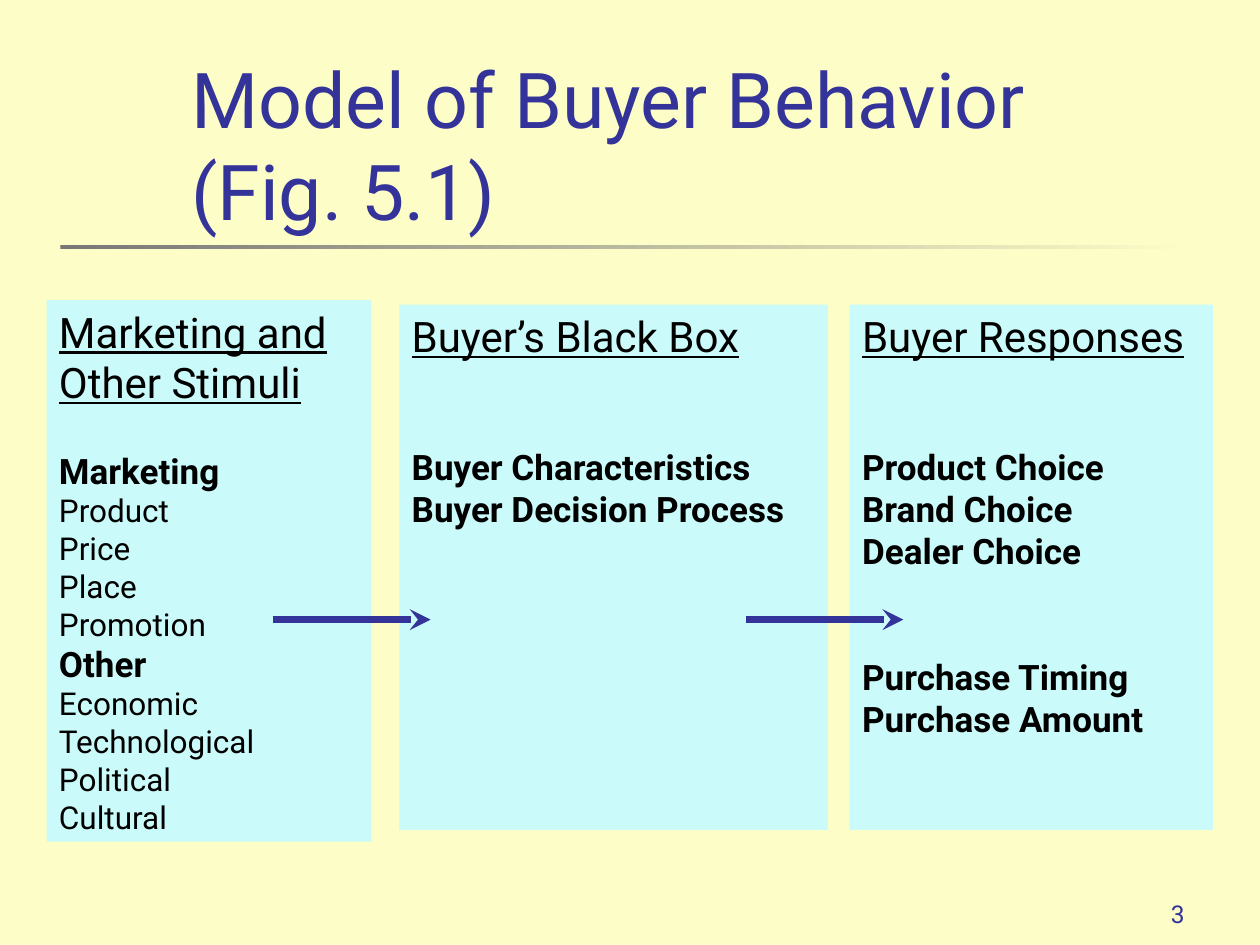
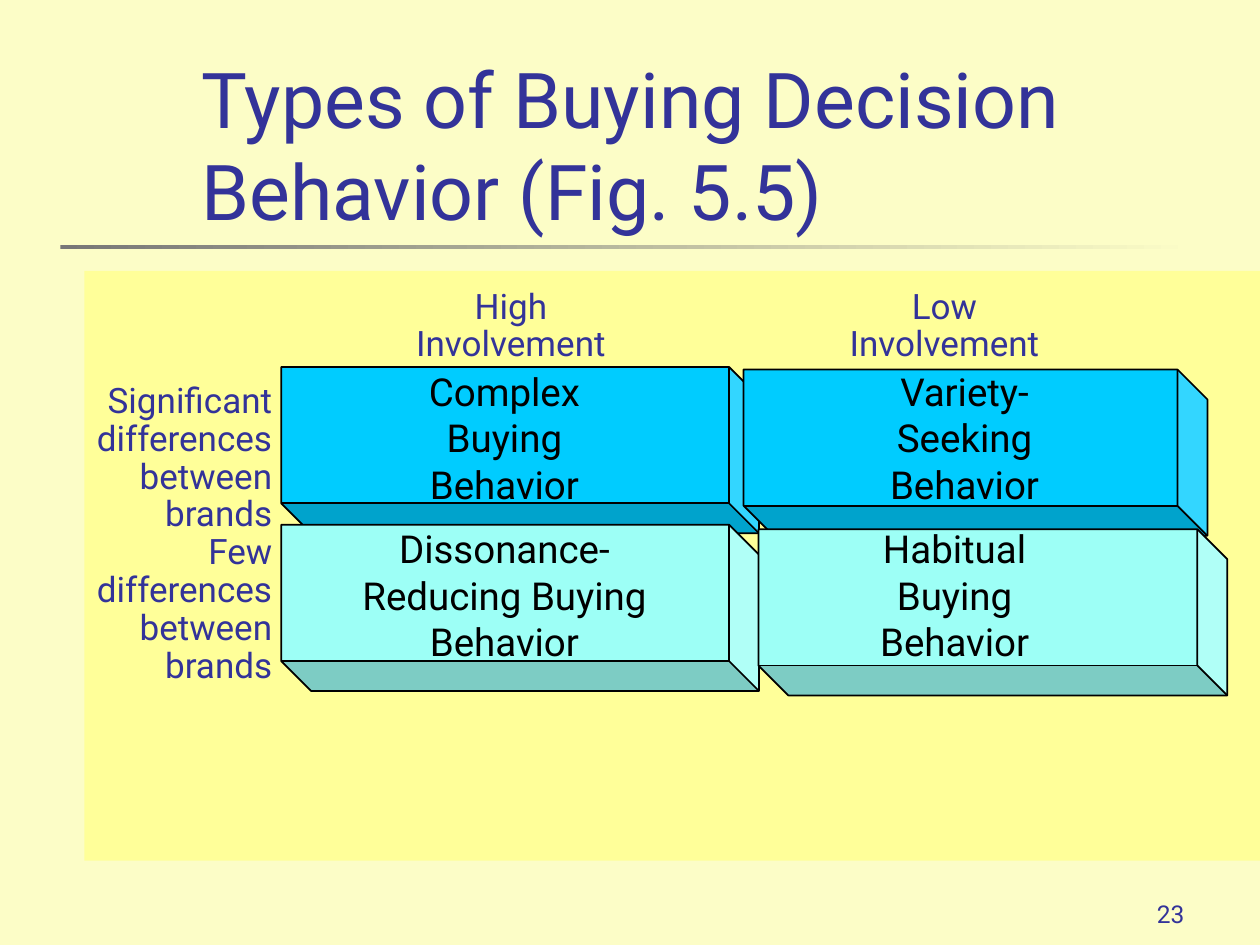
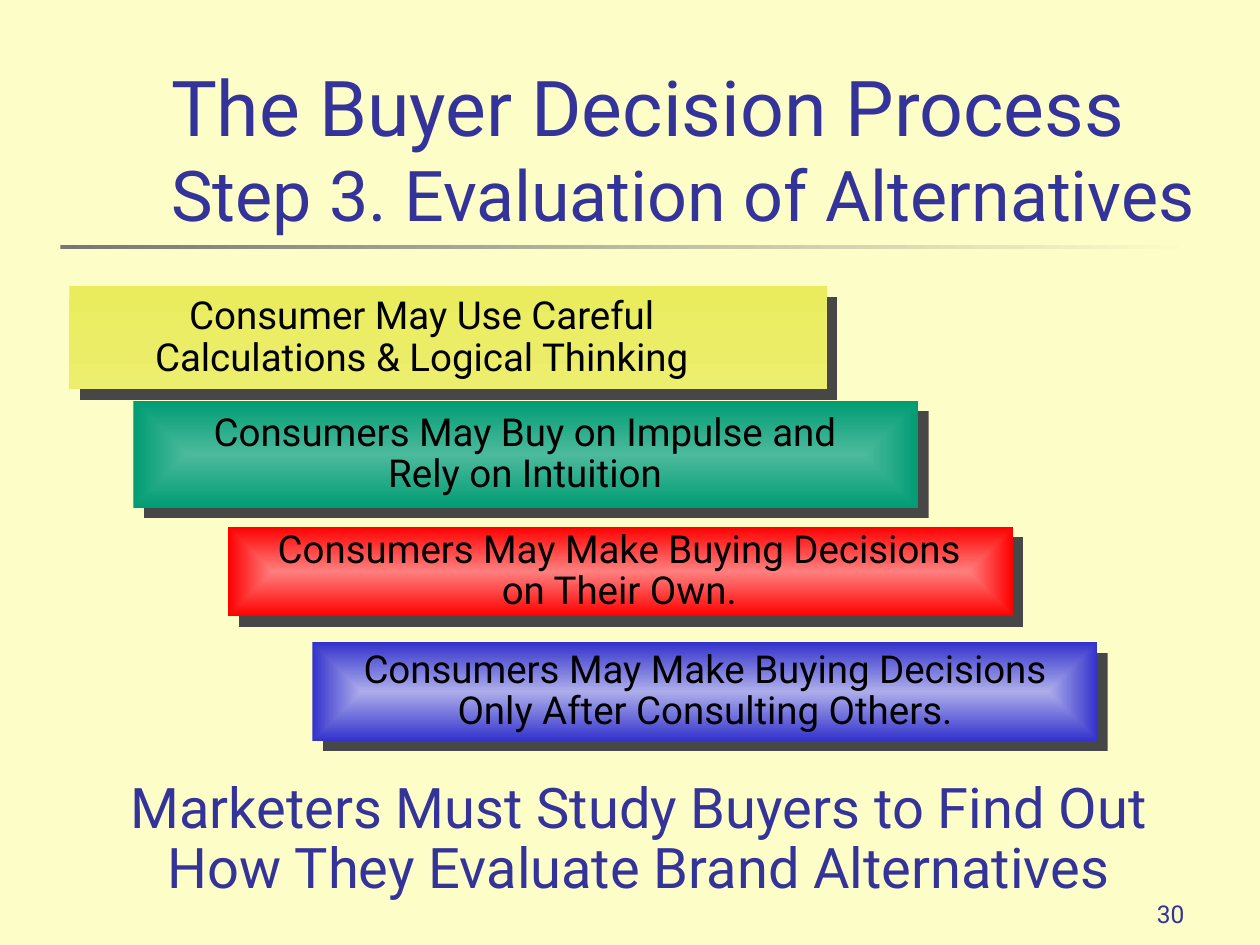
from lxml import etree
from pptx import Presentation
from pptx.dml.color import RGBColor
from pptx.enum.shapes import MSO_CONNECTOR, MSO_SHAPE
from pptx.enum.text import MSO_ANCHOR, PP_ALIGN
from pptx.oxml.ns import qn
from pptx.util import Cm, Pt

RECTANGLE, CUBE = MSO_SHAPE.RECTANGLE, MSO_SHAPE.CUBE
STRAIGHT = MSO_CONNECTOR.STRAIGHT
TOP, MIDDLE, BOTTOM = MSO_ANCHOR.TOP, MSO_ANCHOR.MIDDLE, MSO_ANCHOR.BOTTOM
LEFT, CENTER, RIGHT = PP_ALIGN.LEFT, PP_ALIGN.CENTER, PP_ALIGN.RIGHT

FONT = "Roboto"
CREAM = RGBColor(0xFC, 0xFD, 0xC7)
GRAY = RGBColor(0x77, 0x77, 0x77)
INDIGO = RGBColor(0x33, 0x33, 0x99)
BLACK = RGBColor(0, 0, 0)
PALE_CYAN = RGBColor(0xCA, 0xFA, 0xF9)
PANEL_YELLOW = RGBColor(0xFF, 0xFF, 0x99)
SKY = RGBColor(0x00, 0xCC, 0xFF)
MINT = RGBColor(0x9D, 0xFF, 0xF6)
LIME, LIGHT_LIME = RGBColor(0xEA, 0xEC, 0x5E), RGBColor(0xEC, 0xEE, 0x6E)
LIGHT_GREEN, GREEN = RGBColor(0x4C, 0xBA, 0x9D), RGBColor(0x00, 0x9C, 0x73)
LIGHT_RED, RED = RGBColor(0xFF, 0x7F, 0x7F), RGBColor(0xFF, 0x00, 0x00)
LIGHT_BLUE, BLUE = RGBColor(0xAD, 0xAD, 0xEB), RGBColor(0x33, 0x33, 0xCC)
SHADOW = "474747"

HEADING, STRONG, PLAIN = (24, False, True), (20, True, False), (18, False, False)
BLANK_LINE = 24

STIMULI_PANELS = [
    ((0.94, 6.05, 6.55, 10.92), [
        (HEADING, 0, ["Marketing and", "Other Stimuli"]),
        (STRONG, 1, ["Marketing"]),
        (PLAIN, 0, ["Product", "Price", "Place", "Promotion"]),
        (STRONG, 0, ["Other"]),
        (PLAIN, 0, ["Economic", "Technological", "Political", "Cultural"]),
    ]),
    ((8.05, 6.14, 8.64, 10.59), [
        (HEADING, 0, ["Buyer’s Black Box"]),
        (STRONG, 2, ["Buyer Characteristics", "Buyer Decision Process"]),
    ]),
    ((17.13, 6.14, 7.32, 10.59), [
        (HEADING, 0, ["Buyer Responses"]),
        (STRONG, 2, ["Product Choice", "Brand Choice", "Dealer Choice"]),
        (STRONG, 2, ["Purchase Timing", "Purchase Amount"]),
    ]),
]
ARROW_STARTS, ARROW_LENGTH, ARROW_Y = [5.5, 15.03], 3.18, 12.49

INVOLVEMENT = [(8, ["High", "Involvement"]), (16.74, ["Low", "Involvement"])]
DIFFERENCES = [
    (7.6, ["Significant", "differences", "between", "brands"]),
    (10.65, ["Few", "differences", "between", "brands"]),
]
CUBE_HEIGHT = 3.35
BEHAVIORS = [
    (SKY, (5.67, 7.4, 9.63), (5.79, 7.65, 8.76), ["Complex", "Buying", "Behavior"]),
    (SKY, (14.99, 7.45, 9.35), (15.19, 7.65, 8.51), ["Variety-", "Seeking", "Behavior"]),
    (MINT, (5.67, 10.58, 9.63), (5.79, 10.82, 8.76),
     ["Dissonance-", "Reducing Buying", "Behavior"]),
    (MINT, (15.29, 10.67, 9.45), (14.94, 10.82, 8.61), ["Habitual", "Buying", "Behavior"]),
]

EVALUATIONS = [
    (LIME, LIGHT_LIME, False, (1.4, 5.77, 15.27, 2.08), (1.1, 14.81),
     ["Consumer May Use Careful", "Calculations & Logical Thinking"]),
    (LIGHT_GREEN, GREEN, True, (2.69, 8.08, 15.82, 2.16), (2.9, 15.37),
     ["Consumers May Buy on Impulse and", "Rely on Intuition"]),
    (LIGHT_RED, RED, True, (4.6, 10.62, 15.82, 1.8), (4.8, 15.37),
     ["Consumers May Make Buying Decisions", "on Their Own."]),
    (LIGHT_BLUE, BLUE, True, (6.3, 12.95, 15.82, 1.98), (6.53, 15.37),
     ["Consumers May Make Buying Decisions", "Only After Consulting Others."]),
]
CONCLUSION = "Marketers Must Study Buyers to Find Out How They Evaluate Brand Alternatives"


def place(frame):
    return [Cm(length) for length in frame]


def add_child(parent, tag, **attributes):
    return etree.SubElement(parent, qn(tag), attributes)


def format_spans(para, size, color, bold=False, underline=False):
    for span in para.runs:
        span.font.name = FONT
        span.font.size = Pt(size)
        span.font.color.rgb = color
        span.font.bold = bold
        span.font.underline = underline


def add_label(page, frame, lines, size, color=INDIGO, align=LEFT, anchor=TOP, spacing=None):
    box = page.shapes.add_textbox(*place(frame))
    text_frame = box.text_frame
    text_frame.word_wrap = True
    text_frame.vertical_anchor = anchor
    text_frame.text = "\n".join(lines)
    for para in text_frame.paragraphs:
        para.alignment = align
        para.line_spacing = spacing
        format_spans(para, size, color)
    return box


def add_block(page, frame, color=None, kind=RECTANGLE):
    block = page.shapes.add_shape(kind, *place(frame))
    block.shadow.inherit = False
    block.line.fill.background()
    if color is not None:
        block.fill.solid()
        block.fill.fore_color.rgb = color
    return block


def fill_gradient(block, first, last, angle=0):
    block.fill.gradient()
    block.fill.gradient_angle = angle
    for stop, color in zip(block.fill.gradient_stops, (first, last)):
        stop.color.rgb = color


def spread_from_center(block):
    gradient = block.element.spPr.find(qn("a:gradFill"))
    gradient.remove(gradient.find(qn("a:lin")))
    outline = add_child(gradient, "a:path", path="rect")
    add_child(outline, "a:fillToRect", l="50000", t="50000", r="50000", b="50000")


def cast_shadow(block):
    effects = block.element.spPr.find(qn("a:effectLst"))
    shadow = add_child(effects, "a:outerShdw", blurRad="0", dist=str(Pt(8.5)),
                       dir="2700000", algn="ctr", rotWithShape="0")
    add_child(shadow, "a:srgbClr", val=SHADOW)


def add_page(deck, number, title, left, width):
    page = deck.slides.add_slide(deck.slide_layouts[6])
    fill_gradient(add_block(page, (1.22, 4.94, 22.86, 0.09)), GRAY, CREAM)
    add_label(page, (18.85, 17.58, 5.28, 1.27), [str(number)], 14, align=RIGHT, anchor=BOTTOM)
    heading = add_label(page, (left, 1.7, width, 3.18), [title], 44, anchor=BOTTOM)
    return page, heading


def add_stimuli_panel(page, frame, groups):
    panel = add_block(page, frame, PALE_CYAN)
    text_frame = panel.text_frame
    text_frame.word_wrap = True
    text_frame.vertical_anchor = TOP
    text_frame.text = "\n".join(line for _, _, lines in groups for line in lines)
    paras = iter(text_frame.paragraphs)
    for (size, bold, underline), gap, lines in groups:
        for index, _ in enumerate(lines):
            para = next(paras)
            para.alignment = LEFT
            if gap and index == 0:
                para.space_before = Pt(gap * BLANK_LINE)
            format_spans(para, size, BLACK, bold, underline)


def add_arrow(page, start):
    arrow = page.shapes.add_connector(
        STRAIGHT, *place((start, ARROW_Y, start + ARROW_LENGTH, ARROW_Y)))
    arrow.line.color.rgb = INDIGO
    arrow.line.width = Pt(4)
    add_child(arrow.line._get_or_add_ln(), "a:tailEnd", type="stealth")
    add_child(arrow.element.spPr, "a:effectLst")


def add_turned_cube(page, left, top, width, color):
    shift = (width - CUBE_HEIGHT) / 2
    cube = add_block(page, (left + shift, top - shift, CUBE_HEIGHT, width), color, CUBE)
    cube.rotation = 90
    cube.adjustments[0] = 0.18
    cube.line.color.rgb = BLACK
    cube.line.width = Pt(1)


def build_model(deck):
    page, _ = add_page(deck, 3, "Model of Buyer Behavior\v(Fig. 5.1)", 3.61, 21.23)
    for frame, groups in STIMULI_PANELS:
        add_stimuli_panel(page, frame, groups)
    for start in ARROW_STARTS:
        add_arrow(page, start)


def build_types(deck):
    page, _ = add_page(deck, 23, "Types of Buying Decision Behavior (Fig. 5.5)", 3.81, 21.03)
    panel = add_block(page, (1.7, 5.46, 23.7, 11.89), PANEL_YELLOW)
    page.shapes._spTree.insert(2, panel.element)
    for left, lines in INVOLVEMENT:
        add_label(page, (left, 5.7, 4.6, 1.75), lines, 20, align=CENTER, spacing=0.9)
    for top, lines in DIFFERENCES:
        add_label(page, (1.35, top, 4.39, 3.28), lines, 20, align=RIGHT, spacing=0.9)
    for color, cube, (left, top, width), lines in BEHAVIORS:
        add_turned_cube(page, *cube, color)
        add_label(page, (left, top, width, 2.34), lines, 22, BLACK, CENTER, MIDDLE)


def build_evaluation(deck):
    title = "The Buyer Decision Process\vStep 3. Evaluation of Alternatives"
    page, heading = add_page(deck, 30, title, 3.2, 21.56)
    heading.text_frame.paragraphs[0].runs[1].font.size = Pt(40)
    for first, last, centered, frame, (text_left, text_width), lines in EVALUATIONS:
        bar = add_block(page, frame)
        fill_gradient(bar, first, last, 270)
        if centered:
            spread_from_center(bar)
        cast_shadow(bar)
        _, top, _, height = frame
        add_label(page, (text_left, top, text_width, height), lines, 22, BLACK,
                  CENTER, MIDDLE, 0.9)
    add_label(page, (1.47, 15.6, 22.83, 2.67), [CONCLUSION], 32, align=CENTER, spacing=0.9)


def main():
    deck = Presentation()
    deck.slide_width, deck.slide_height = Cm(25.4), Cm(19.05)
    background = deck.slide_master.background.fill
    background.solid()
    background.fore_color.rgb = CREAM
    build_model(deck)
    build_types(deck)
    build_evaluation(deck)
    deck.save("out.pptx")


if __name__ == "__main__":
    main()
